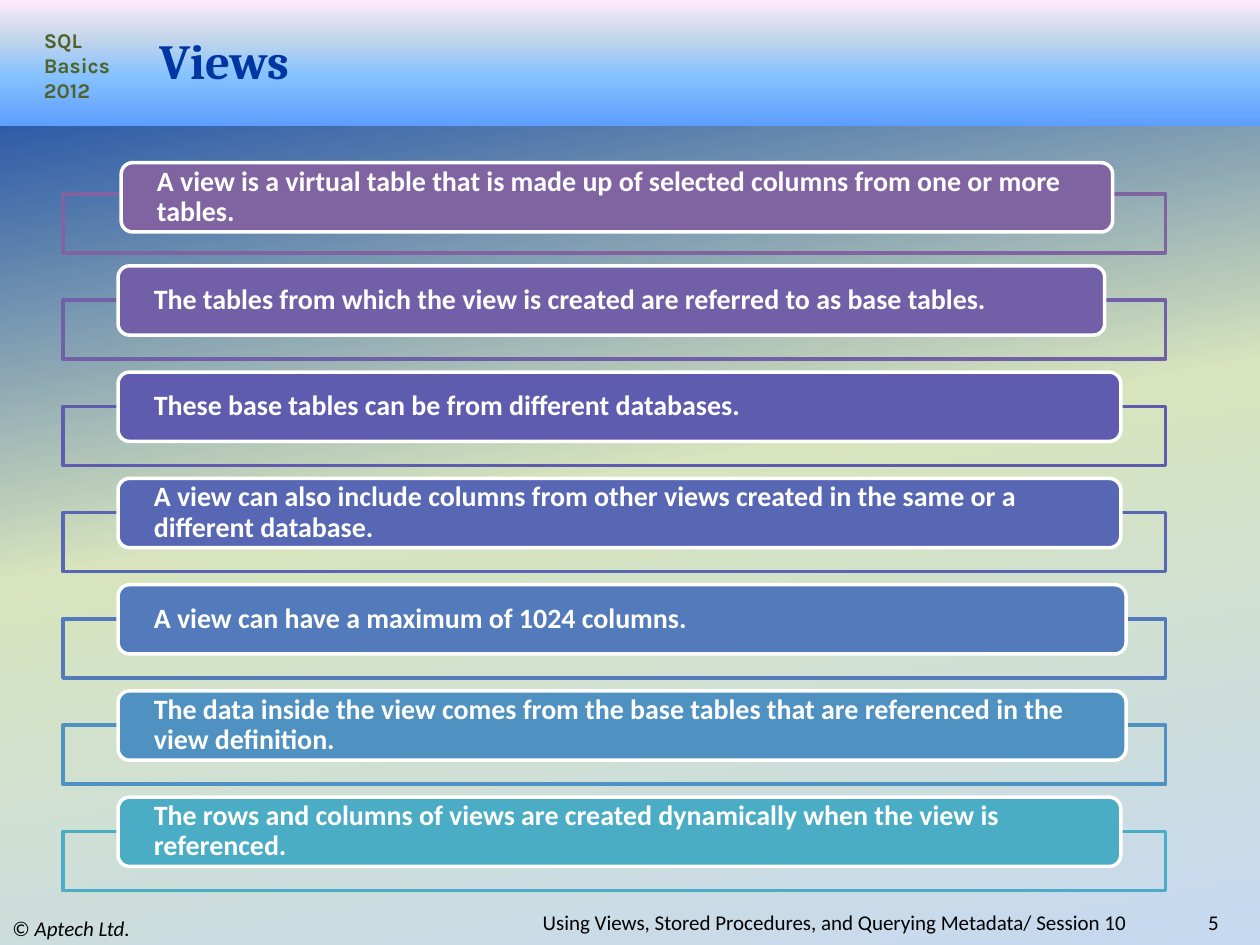
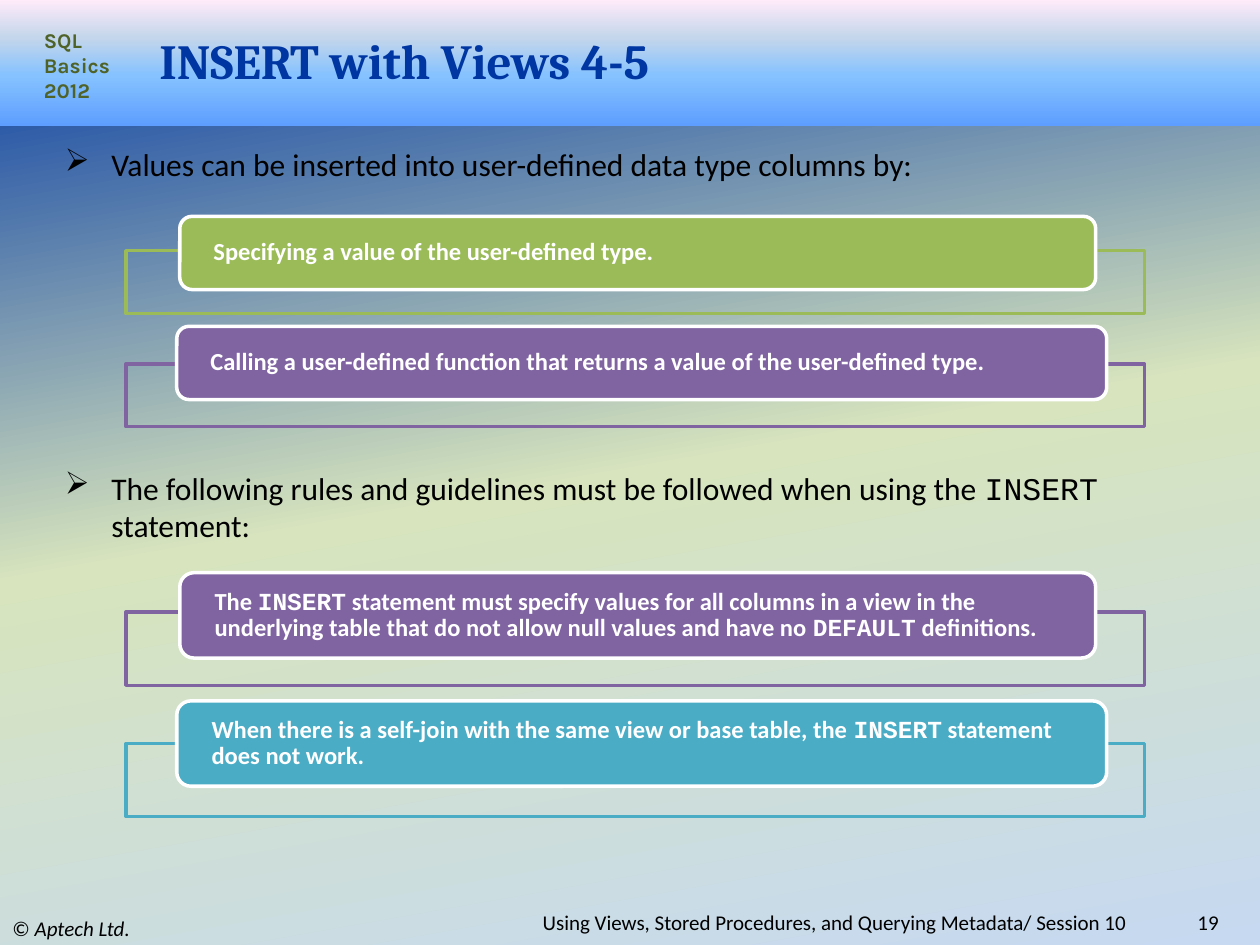
from dataclasses import dataclass
from typing import NamedTuple

from lxml.etree import SubElement
from pptx import Presentation
from pptx.dml.color import RGBColor
from pptx.enum.shapes import MSO_SHAPE
from pptx.enum.text import MSO_ANCHOR, PP_ALIGN
from pptx.oxml.ns import qn
from pptx.presentation import Presentation as Deck
from pptx.shapes.autoshape import Shape
from pptx.slide import Slide
from pptx.util import Pt


# Theme
@dataclass(frozen=True)
class Style:
    size: float
    color: str
    font: str = "Calibri"
    bold: bool = False
    accent_font: str = "Courier New"
    accent_italic: bool = False
    spacing: float = 1.0
    align: PP_ALIGN = PP_ALIGN.LEFT


class Stop(NamedTuple):
    percent: int
    color: str


@dataclass(frozen=True)
class Theme:
    white: str = "FFFFFF"
    green: str = "9BBB59"
    purple: str = "8064A2"
    aqua: str = "4BACC6"
    line_width: float = 2
    background: tuple[Stop, ...] = (
        Stop(0, "0036A2"), Stop(50, "D7E4BD"), Stop(100, "C6D9F1"))
    band: tuple[Stop, ...] = (
        Stop(0, "5E9EFF"), Stop(40, "85C2FF"), Stop(70, "C4D6EB"), Stop(100, "FFEBFA"))
    title: Style = Style(28, "0036A2", "Cambria", bold=True)
    badge: Style = Style(12, "4F6228", "Karla", bold=True)
    owner: Style = Style(12, "000000", accent_font="Calibri", accent_italic=True)
    footer: Style = Style(12, "000000", align=PP_ALIGN.RIGHT)
    bullet: Style = Style(18, "000000")
    large_card: Style = Style(16, "FFFFFF", bold=True, spacing=0.9)
    small_card: Style = Style(14, "FFFFFF", bold=True, spacing=0.9)


THEME = Theme()


class Box(NamedTuple):
    left: float
    top: float
    width: float
    height: float


class Card(NamedTuple):
    text: str
    color: str
    width: float


@dataclass(frozen=True)
class CardStack:
    """Cards resting on open frames; the first card sits slightly right and low."""
    first_frame: Box
    pitch: float
    card_indent: float
    card_lift: float
    card_height: float
    text_inset: float
    style: Style
    cards: tuple[Card, ...]
    first_shift: float = 1.75


# Drawing helpers
def set_gradient(element, stops: tuple[Stop, ...], angle: int) -> None:
    gradient = element.find(".//" + qn("a:gradFill"))
    for child in list(gradient):
        gradient.remove(child)
    stop_list = SubElement(gradient, qn("a:gsLst"))
    for stop in stops:
        entry = SubElement(stop_list, qn("a:gs"), pos=str(stop.percent * 1000))
        SubElement(entry, qn("a:srgbClr"), val=stop.color)
    SubElement(gradient, qn("a:lin"), ang=str(angle * 60000), scaled="0")


def write(shape: Shape, text: str, style: Style, anchor: MSO_ANCHOR) -> None:
    """Set one paragraph; parts between backticks take the accent look."""
    text_frame = shape.text_frame
    text_frame.word_wrap = True
    text_frame.vertical_anchor = anchor
    paragraph = text_frame.paragraphs[0]
    paragraph.alignment = style.align
    paragraph.line_spacing = style.spacing
    for index, part in enumerate(text.split("`")):
        if not part:
            continue
        accented = index % 2 == 1
        run = paragraph.add_run()
        run.text = part
        run.font.name = style.accent_font if accented else style.font
        run.font.size = Pt(style.size)
        run.font.bold = style.bold
        run.font.italic = accented and style.accent_italic
        run.font.color.rgb = RGBColor.from_string(style.color)


def add_text(slide: Slide, box: Box, text: str, style: Style,
             anchor: MSO_ANCHOR = MSO_ANCHOR.MIDDLE) -> Shape:
    shape = slide.shapes.add_textbox(*map(Pt, box))
    write(shape, text, style, anchor)
    return shape


def add_bullet(slide: Slide, box: Box, text: str) -> None:
    shape = add_text(slide, box, text, THEME.bullet, MSO_ANCHOR.TOP)
    properties = shape.text_frame.paragraphs[0]._p.get_or_add_pPr()
    indent = Pt(26.6)
    properties.set("marL", str(indent))
    properties.set("indent", str(-indent))
    SubElement(properties, qn("a:buChar"), char="➢")


def add_box(slide: Slide, kind: MSO_SHAPE, box: Box, line: str,
            fill: str | None = None) -> Shape:
    shape = slide.shapes.add_shape(kind, *map(Pt, box))
    shape.shadow.inherit = False
    shape.line.color.rgb = RGBColor.from_string(line)
    shape.line.width = Pt(THEME.line_width)
    if fill is None:
        shape.fill.background()
    else:
        shape.fill.solid()
        shape.fill.fore_color.rgb = RGBColor.from_string(fill)
    return shape


def add_stack(slide: Slide, stack: CardStack) -> None:
    for index, card in enumerate(stack.cards):
        frame = stack.first_frame._replace(
            top=stack.first_frame.top + index * stack.pitch)
        add_box(slide, MSO_SHAPE.RECTANGLE, frame, card.color)
        shift = stack.first_shift if index == 0 else 0
        card_box = Box(frame.left + stack.card_indent + shift,
                       frame.top - stack.card_lift + shift,
                       card.width, stack.card_height)
        shape = add_box(slide, MSO_SHAPE.ROUNDED_RECTANGLE, card_box,
                        THEME.white, card.color)
        text_frame = shape.text_frame
        text_frame.margin_left = text_frame.margin_right = Pt(stack.text_inset)
        text_frame.margin_top = text_frame.margin_bottom = 0
        write(shape, card.text, stack.style, MSO_ANCHOR.MIDDLE)


# Shared slide frame
def add_base_slide(presentation: Deck, title: str, number: int) -> Slide:
    slide = presentation.slides.add_slide(presentation.slide_layouts[6])
    slide.background.fill.gradient()
    set_gradient(slide._element, THEME.background, 80)

    band = slide.shapes.add_shape(MSO_SHAPE.RECTANGLE, 0, 0, Pt(720), Pt(72))
    band.shadow.inherit = False
    band.line.fill.background()
    band.fill.gradient()
    set_gradient(band._element, THEME.band, 270)

    add_text(slide, Box(0, 520.5, 240, 19.5), "© `Aptech Ltd.`", THEME.owner)
    add_text(slide, Box(18, 12, 54, 51), "SQL Basics 2012", THEME.badge, MSO_ANCHOR.TOP)
    add_text(slide, Box(642, 520.5, 61.5, 13), str(number), THEME.footer)
    add_text(slide, Box(180, 520.5, 471, 13),
             "Using Views, Stored Procedures, and Querying Metadata/ Session 10",
             THEME.footer)
    add_text(slide, Box(84, 18, 600, 32.5), title, THEME.title)
    return slide


# Slide contents
VIEW_FACTS = CardStack(
    first_frame=Box(36, 110.8, 630, 33.8), pitch=60.72, card_indent=31.5,
    card_lift=19.6, card_height=39.6, text_inset=18.5, style=THEME.large_card,
    cards=(
        Card("A view is a virtual table that is made up of selected columns "
             "from one or more tables.", THEME.purple, 566.6),
        Card("The tables from which the view is created are referred to as "
             "base tables.", "7160A8", 563.8),
        Card("These base tables can be from different databases.", "5F5BAE", 573),
        Card("A view can also include columns from other views created in the "
             "same or a different database.", "5767B4", 573),
        Card("A view can have a maximum of 1024 columns.", "537ABA", 576),
        Card("The data inside the view comes from the base tables that are "
             "referenced in the view definition.", "4F91C0", 576),
        Card("The rows and columns of views are created dynamically when the "
             "view is referenced.", THEME.aqua, 573),
    ))

INSERT_WAYS = CardStack(
    first_frame=Box(72, 143.3, 582, 36), pitch=64.6, card_indent=29,
    card_lift=21.4, card_height=41.8, text_inset=17.2, style=THEME.small_card,
    cards=(
        Card("Specifying a value of the user-defined type.", THEME.green, 523.4),
        Card("Calling a user-defined function that returns a value of the "
             "user-defined type.", THEME.purple, 531.4),
    ))

INSERT_RULES = CardStack(
    first_frame=Box(72, 349.8, 582, 41.8), pitch=75, card_indent=29,
    card_lift=24.3, card_height=48.8, text_inset=17.5, style=THEME.small_card,
    cards=(
        Card("The `INSERT` statement must specify values for all columns in a "
             "view in the underlying table that do not allow null values and "
             "have no `DEFAULT` definitions.", THEME.purple, 523.4),
        Card("When there is a self-join with the same view or base table, the "
             "`INSERT` statement does not work.", THEME.aqua, 531.4),
    ))


def main() -> None:
    presentation = Presentation()
    presentation.slide_width, presentation.slide_height = Pt(720), Pt(540)

    # Views
    views_slide = add_base_slide(presentation, "Views", 5)
    add_stack(views_slide, VIEW_FACTS)

    # INSERT with views
    insert_slide = add_base_slide(presentation, "INSERT with Views 4-5", 19)
    add_bullet(insert_slide, Box(30, 79.2, 678, 29),
               "Values can be inserted into user-defined data type columns by:")
    add_stack(insert_slide, INSERT_WAYS)
    add_bullet(insert_slide, Box(30, 264.2, 678, 51),
               "The following rules and guidelines must be followed when using "
               "the `INSERT` statement:")
    add_stack(insert_slide, INSERT_RULES)

    presentation.save("out.pptx")


if __name__ == "__main__":
    main()
